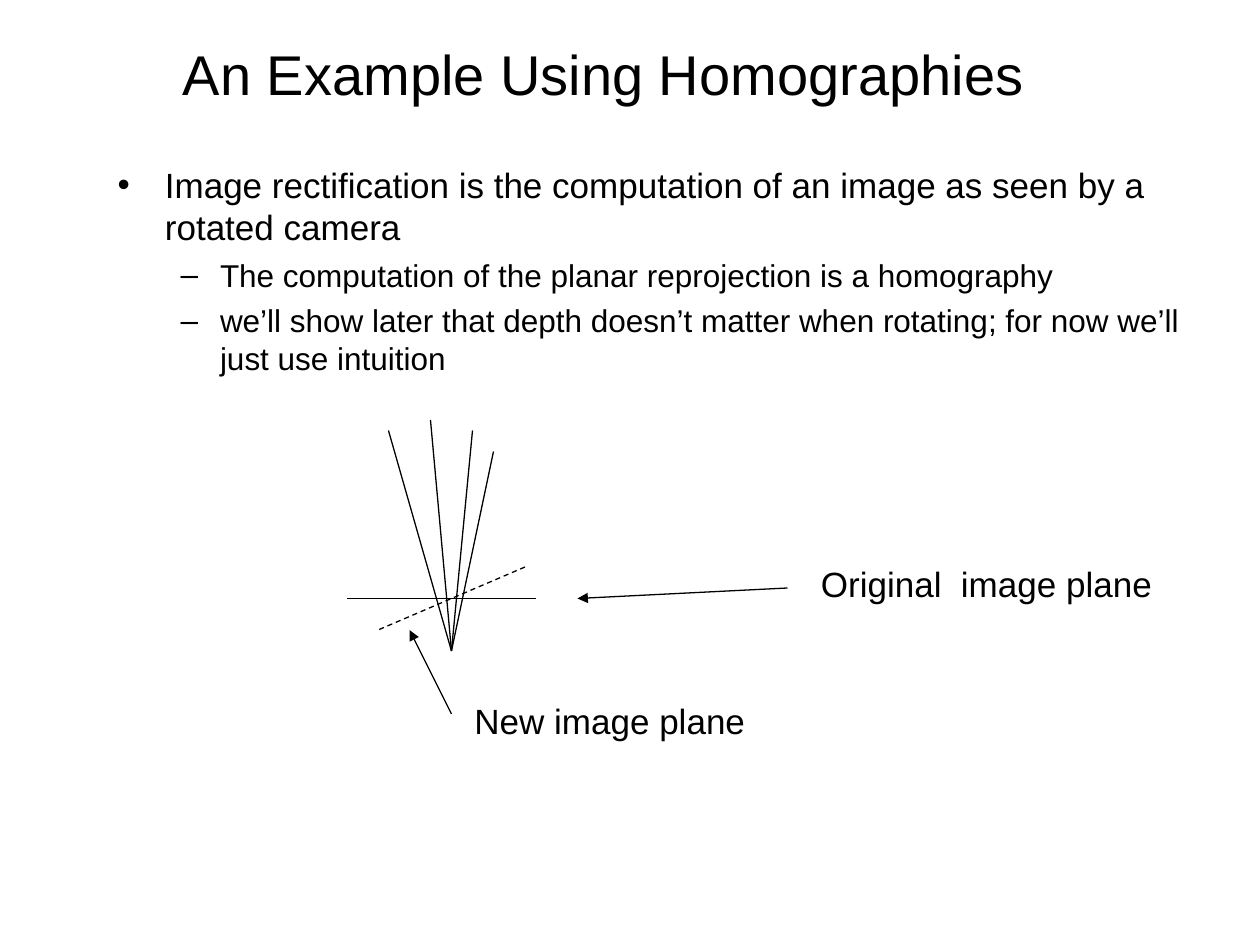
"""Build a slide on image rectification with homographies."""
import dataclasses

import pptx
import pptx.dml.color
import pptx.enum.dml
import pptx.enum.shapes
import pptx.enum.text
import pptx.oxml
import pptx.oxml.ns
import pptx.util

Pt = pptx.util.Pt


@dataclasses.dataclass(frozen=True)
class Theme:
    """Hold the colours, font and sizes of the slide."""
    ink: str = "000000"
    paper: str = "FFFFFF"
    font: str = "Arial"
    title: float = 32
    text: float = 20
    sub: float = 18
    line: float = 0.75


THEME = Theme()


def color(code):
    """Return the colour for a hex code."""
    return pptx.dml.color.RGBColor.from_string(code)


def add_run(para, text, size):
    """Add one styled run to a paragraph."""
    run = para.add_run()
    run.text = text
    run.font.name = THEME.font
    run.font.size = Pt(size)
    run.font.color.rgb = color(THEME.ink)


def add_node(owner, tag, **attrs):
    """Append a drawing element to its owner."""
    node = pptx.oxml.parse_xml(f"<a:{tag} {pptx.oxml.ns.nsdecls('a')}/>")
    for key, value in attrs.items():
        node.set(key, value)
    owner.append(node)
    return node


def place(shape, box):
    """Move a shape to a box in points."""
    shape.left, shape.top, shape.width, shape.height = map(Pt, box)


def set_title(shape, box, text):
    """Fill the title placeholder."""
    place(shape, box)
    frame = shape.text_frame
    frame.auto_size = pptx.enum.text.MSO_AUTO_SIZE.NONE
    frame.vertical_anchor = pptx.enum.text.MSO_ANCHOR.MIDDLE
    para = frame.paragraphs[0]
    para.alignment = pptx.enum.text.PP_ALIGN.CENTER
    add_run(para, text, THEME.title)


def set_list(shape, box, items):
    """Fill the body placeholder with items of level and text."""
    styles = (("•", 27, 27, THEME.text), ("–", 58.5, 22.5, THEME.sub))
    place(shape, box)
    frame = shape.text_frame
    frame.auto_size = pptx.enum.text.MSO_AUTO_SIZE.NONE
    for index, (level, text) in enumerate(items):
        mark, left, hang, size = styles[level]
        para = frame.add_paragraph() if index else frame.paragraphs[0]
        para.level = level
        para.space_before = Pt(4.5 if index else 0)
        props = para._p.get_or_add_pPr()
        props.set("marL", str(Pt(left)))
        props.set("indent", str(-Pt(hang)))
        add_node(add_node(props, "buClr"), "srgbClr", val=THEME.ink)
        add_node(props, "buFont", typeface=THEME.font)
        add_node(props, "buChar", char=mark)
        add_run(para, text, size)


def add_line(slide, start, end, dash=False, arrow=False):
    """Draw a thin line, dashed or with an arrowhead at its end."""
    kind = pptx.enum.shapes.MSO_CONNECTOR.STRAIGHT
    line = slide.shapes.add_connector(kind, *map(Pt, (*start, *end)))
    line.line.color.rgb = color(THEME.ink)
    line.line.width = Pt(THEME.line)
    if dash:
        line.line.dash_style = pptx.enum.dml.MSO_LINE.DASH
    if arrow:
        add_node(line.line._get_or_add_ln(), "tailEnd", type="triangle")
    add_node(line._element.spPr, "effectLst")


def add_label(slide, box, text):
    """Add a label that does not wrap."""
    shape = slide.shapes.add_textbox(*map(Pt, box))
    frame = shape.text_frame
    frame.word_wrap = False
    frame.auto_size = pptx.enum.text.MSO_AUTO_SIZE.SHAPE_TO_FIT_TEXT
    add_run(frame.paragraphs[0], text, THEME.text)


def draw_planes(slide, box):
    """Draw the rays, both image planes and their labels in a box."""
    left, top, width, height = box

    def spot(x, y):
        return left + x, top + y

    for end in ((24, 6), (48, 0), (72, 6), (84, 18)):
        add_line(slide, spot(60, 132), spot(*end))
    add_line(slide, spot(108, 102), spot(0, 102))
    add_line(slide, spot(102, 84), spot(18, 120), dash=True)
    add_line(slide, spot(252, 96), spot(132, 102), arrow=True)
    add_label(slide, (*spot(width - 204, 78), 204, 31.5),
              "Original  image plane")
    add_line(slide, spot(60, 168), spot(36, 120), arrow=True)
    add_label(slide, (*spot(66, height - 31.5), 169, 31.5),
              "New image plane")


def main():
    """Build and save the slide."""
    deck = pptx.Presentation()
    deck.slide_width, deck.slide_height = Pt(720), Pt(540)
    slide = deck.slides.add_slide(deck.slide_layouts[1])
    slide.background.fill.solid()
    slide.background.fill.fore_color.rgb = color(THEME.paper)
    set_title(slide.shapes.title, (84, 18, 522, 48),
              "An Example Using Homographies")
    set_list(slide.placeholders[1], (60, 90, 624, 347), (
        (0, "Image rectification is the computation of an image "
            "as seen by a rotated camera"),
        (1, "The computation of the planar reprojection is a homography"),
        (1, "we’ll show later that depth doesn’t matter when rotating; "
            "for now we’ll just use intuition"),
    ))
    draw_planes(slide, (198, 240, 468, 187.5))
    deck.save("out.pptx")


if __name__ == "__main__":
    main()
